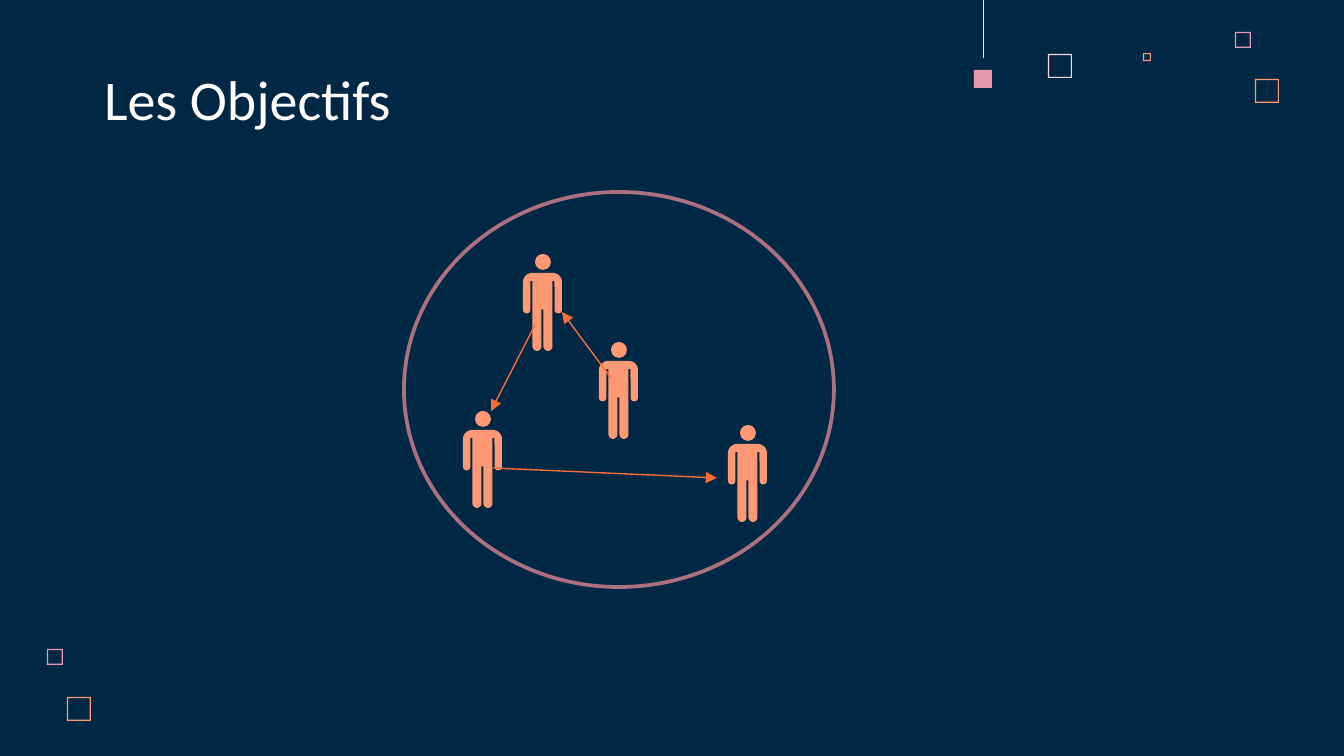
"""Build the "Les Objectifs" slide: four linked people inside a circle."""
from math import cos, pi, sin

from lxml import etree
from pptx import Presentation
from pptx.dml.color import RGBColor
from pptx.enum.shapes import MSO_CONNECTOR, MSO_SHAPE
from pptx.enum.text import MSO_ANCHOR
from pptx.oxml.ns import qn
from pptx.util import Pt

RECT, OVAL, FRAME = MSO_SHAPE.RECTANGLE, MSO_SHAPE.OVAL, MSO_SHAPE.FRAME
LINE, BOTTOM = MSO_CONNECTOR.STRAIGHT, MSO_ANCHOR.BOTTOM
PX = 914400 / 134.4
NAVY, WHITE, BLUSH, PINK = "002845", "FFFFFF", "FFD6E1", "E898AC"
PEACH, ORANGE, MAUVE = "FF9973", "FB6D39", "AC707F"

TITLE = ("Les Objectifs", (91, 60, 695, 85))
RING = (404, 192, 430, 395)
FRAMES = [
    (1048, 54, 24, BLUSH), (1235, 32, 16, PINK), (1143, 53, 8, PEACH),
    (1255, 79, 24, PEACH), (47, 649, 16, PINK), (67, 697, 24, PEACH),
]
BLOCKS = [((974, 70, 18, 18), PINK), ((983, 0, 1, 58), BLUSH)]
PEOPLE = [(599, 342), (523, 254), (463, 411), (728, 425)]
ARROWS = [
    ((611, 378), (562, 312)), ((535, 325), (491, 411)),
    ((493, 468), (717, 478)),
]


def emu(*vals):
    return [round(v * PX) for v in vals]


def color(text):
    return RGBColor.from_string(text)


def paint(shape, fill):
    shape.shadow.inherit = False
    shape.fill.solid()
    shape.fill.fore_color.rgb = color(fill)
    shape.line.fill.background()


def arc(x, y, r, start, end, steps=10):
    turns = [pi * (start + (end - start) * i / steps) for i in range(steps + 1)]
    return [(x + r * cos(t), y - r * sin(t)) for t in turns]


def body():
    """Return the outline in tenths of a px: one half, then its mirror."""
    half = [
        *arc(92, 92, 92, 0.5, 1), *arc(37, 368, 37, 1, 2),
        (75, 80), (95, 80), *arc(140, 735, 45, 1, 2), (185, 365),
    ]
    return half + [(390 - x, y) for x, y in reversed(half)]


def person(slide, x, y):
    group = slide.shapes.add_group_shape()
    points = body()
    form = group.shapes.build_freeform(*points[0], scale=PX / 10)
    form.add_line_segments(points[1:], close=True)
    paint(form.convert_to_shape(*emu(x, y + 19)), PEACH)
    paint(group.shapes.add_shape(OVAL, *emu(x + 12, y, 16, 16)), PEACH)


def arrow(slide, start, end):
    link = slide.shapes.add_connector(LINE, *emu(*start, *end))
    link.line.color.rgb = color(ORANGE)
    link.line.width = Pt(0.75)
    tip = etree.SubElement(link.line._get_or_add_ln(), qn("a:tailEnd"))
    tip.set("type", "triangle")
    etree.SubElement(link._element.spPr, qn("a:effectLst"))


def title(slide, text, box):
    frame = slide.shapes.add_textbox(*emu(*box)).text_frame
    frame.word_wrap = True
    frame.vertical_anchor = BOTTOM
    frame.margin_left = frame.margin_right = emu(13)[0]
    frame.margin_top = frame.margin_bottom = emu(13)[0]
    para = frame.paragraphs[0]
    para.text = text
    para.font.name = "Calibri"
    para.font.size = Pt(30)
    para.font.color.rgb = color(WHITE)


def main():
    deck = Presentation()
    deck.slide_width, deck.slide_height = emu(1344, 756)
    slide = deck.slides.add_slide(deck.slide_layouts[6])
    slide.background.fill.solid()
    slide.background.fill.fore_color.rgb = color(NAVY)

    for x, y, size, tint in FRAMES:
        square = slide.shapes.add_shape(FRAME, *emu(x, y, size, size))
        square.adjustments[0] = 1.2 / size
        paint(square, tint)
    for box, tint in BLOCKS:
        paint(slide.shapes.add_shape(RECT, *emu(*box)), tint)
    title(slide, *TITLE)

    ring = slide.shapes.add_shape(OVAL, *emu(*RING))
    ring.shadow.inherit = False
    ring.fill.background()
    ring.line.color.rgb = color(MAUVE)
    ring.line.width = Pt(2)
    for spot in PEOPLE:
        person(slide, *spot)
    for ends in ARROWS:
        arrow(slide, *ends)
    deck.save("out.pptx")


if __name__ == "__main__":
    main()
